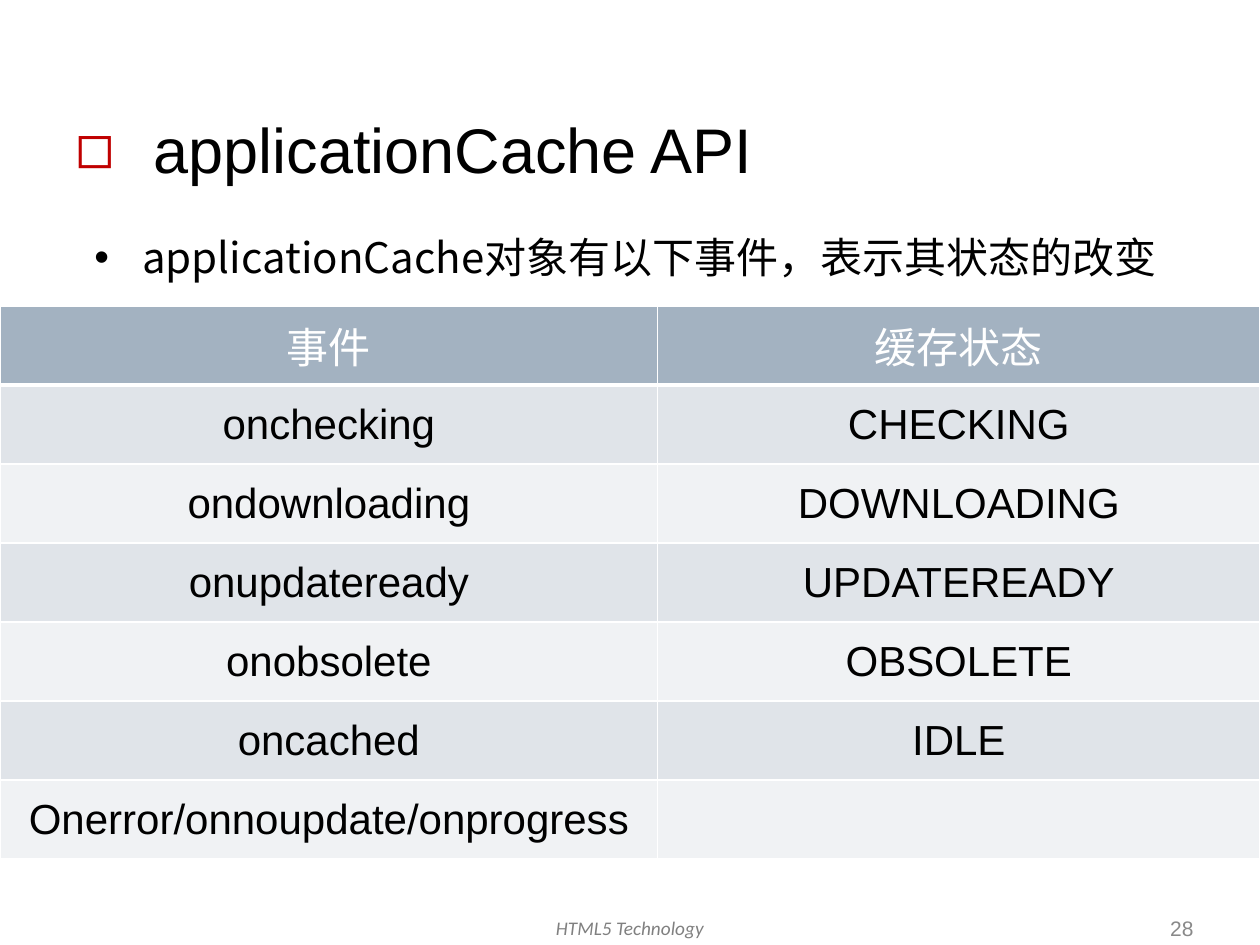
from dataclasses import dataclass

from lxml.etree import SubElement as Sub
from pptx import Presentation as Deck
from pptx.dml.color import RGBColor as Rgb
from pptx.enum.text import MSO_ANCHOR as Anchor, PP_ALIGN as Align
from pptx.oxml import parse_xml as to_xml
from pptx.oxml.ns import qn
from pptx.util import Inches, Pt

NS = "http://schemas.openxmlformats.org/drawingml/2006/main"


@dataclass(frozen=True)
class Theme:
    ink: str = "000000"
    white: str = "FFFFFF"
    red: str = "C00000"
    grey: str = "808080"
    pale: str = "898989"
    head: str = "A3B2C1"
    bands: tuple = ("E0E4E9", "F0F2F4")
    sans: str = "Arial"
    foot: str = "Calibri"
    asian: str = "Noto Sans CJK SC"
    title: int = 36
    body: int = 24
    page: int = 12
    note: int = 11


def write(frame, text, size, color, font, align=Align.LEFT,
          anchor=Anchor.TOP, italic=False, lines=None):
    frame.word_wrap = True
    frame.vertical_anchor = anchor
    para = frame.paragraphs[0]
    para.alignment = align
    if lines:
        para.line_spacing = lines
    run = para.add_run()
    run.text = text
    run.font.size = Pt(size)
    run.font.italic = italic
    run.font.color.rgb = Rgb.from_string(color)
    run.font.name = font
    Sub(run.font._element, qn("a:ea"), typeface=Theme.asian)
    return para


class Page:
    def __init__(self, deck, theme):
        self.theme = theme
        self.slide = deck.slides.add_slide(deck.slide_layouts[6])

    def text(self, box, text, **style):
        shape = self.slide.shapes.add_textbox(*map(Inches, box))
        return write(shape.text_frame, text, **style)

    def bullet(self, box, text, mark, tint, indent, **style):
        para = self.text(box, text, **style)
        props = para._p.get_or_add_pPr()
        props.set("marL", str(Inches(indent)))
        props.set("indent", str(-Inches(indent)))
        Sub(Sub(props, qn("a:buClr")), qn("a:srgbClr"), val=tint)
        Sub(props, qn("a:buFont"), typeface=self.theme.sans)
        Sub(props, qn("a:buChar"), char=mark)

    def border(self, cell, base):
        props = cell._tc.get_or_add_tcPr()
        for i, (side, width) in enumerate(zip("LRTB", (1, 1, 1, base))):
            props.insert(i, to_xml(
                f'<a:ln{side} xmlns:a="{NS}" w="{Pt(width)}"><a:solidFill>'
                f'<a:srgbClr val="{self.theme.white}"/></a:solidFill></a:ln{side}>'))

    def table(self, box, widths, rows):
        look = self.theme
        shape = self.slide.shapes.add_table(
            len(rows), len(widths), *map(Inches, box))
        grid = shape.table
        for col, width in zip(grid.columns, widths):
            col.width = Inches(width)
        for r, row in enumerate(rows):
            fill = look.bands[(r - 1) % 2] if r else look.head
            color = look.ink if r else look.white
            for c, text in enumerate(row):
                cell = grid.cell(r, c)
                cell.fill.solid()
                cell.fill.fore_color.rgb = Rgb.from_string(fill)
                self.border(cell, 1 if r else 3)
                if text:
                    write(cell.text_frame, text, look.body, color,
                          look.sans, Align.CENTER)
                cell.vertical_anchor = Anchor.MIDDLE


def main():
    deck = Deck()
    deck.slide_width, deck.slide_height = Inches(10), Inches(7.5)
    look = Theme()
    page = Page(deck, look)
    page.text((3.22, 7.22, 3.56, 0.33), "HTML5 Technology", size=look.note,
              color=look.grey, font=look.foot, align=Align.CENTER, italic=True)
    page.text((7.32, 7.22, 2.25, 0.29), "28", size=look.page, color=look.pale,
              font=look.sans, align=Align.RIGHT, anchor=Anchor.MIDDLE)
    page.bullet((0.5, 0.83, 8.75, 0.98), "applicationCache API", "◻", look.red,
                0.62, size=look.title, color=look.ink, font=look.sans)
    page.bullet((0.65, 1.59, 8.92, 0.64),
                "applicationCache对象有以下事件，表示其状态的改变", "•", look.ink,
                0.38, size=look.body, color=look.ink, font=look.asian, lines=1.5)
    page.table((0, 2.43, 10, 4.39), (5.22, 4.78), [
        ("事件", "缓存状态"),
        ("onchecking", "CHECKING"),
        ("ondownloading", "DOWNLOADING"),
        ("onupdateready", "UPDATEREADY"),
        ("onobsolete", "OBSOLETE"),
        ("oncached", "IDLE"),
        ("Onerror/onnoupdate/onprogress", ""),
    ])
    deck.save("out.pptx")


if __name__ == "__main__":
    main()
